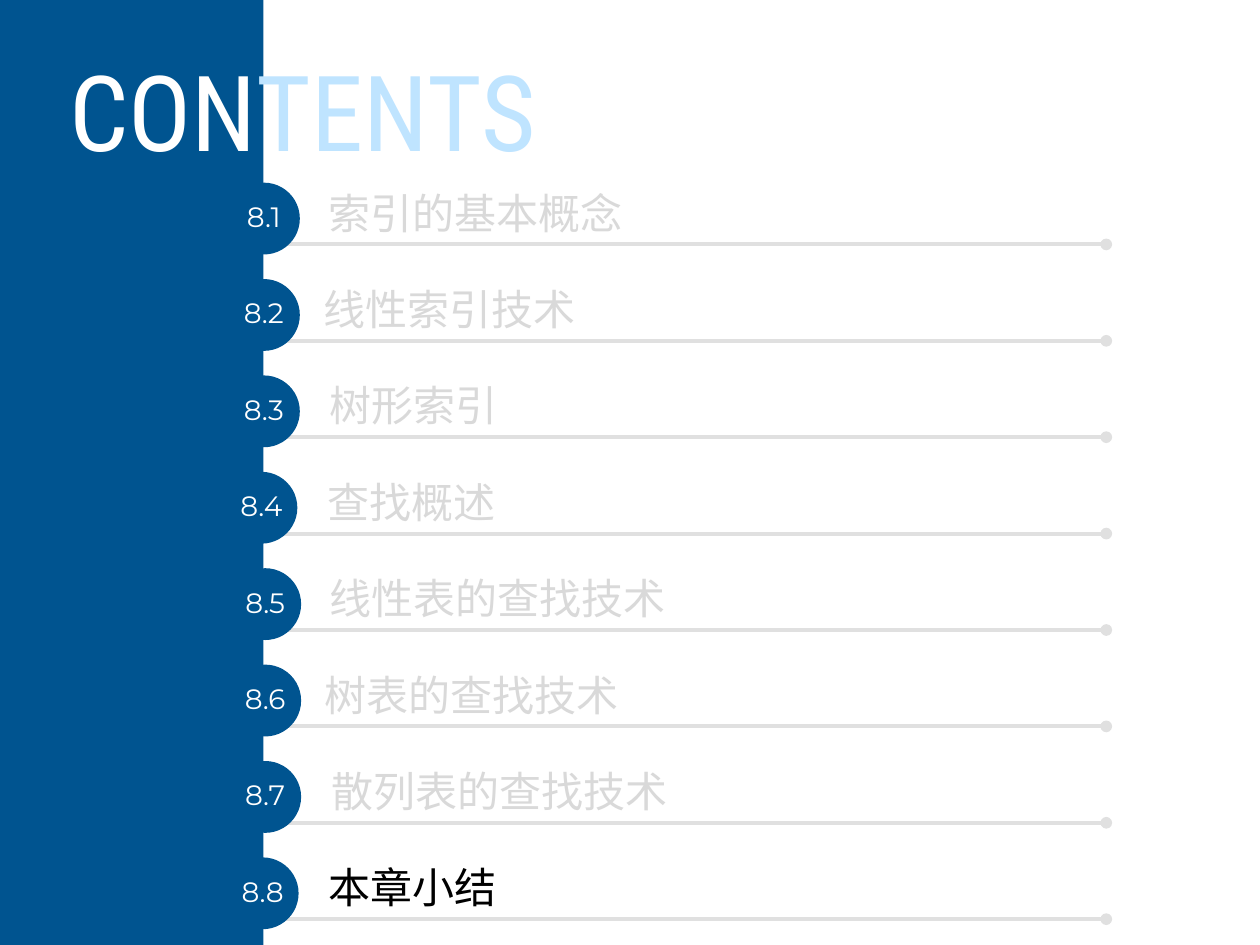
from dataclasses import dataclass

from lxml.etree import SubElement
from pptx import Presentation
from pptx.dml.color import RGBColor
from pptx.enum.shapes import MSO_CONNECTOR, MSO_SHAPE
from pptx.enum.text import MSO_ANCHOR, MSO_AUTO_SIZE, PP_ALIGN
from pptx.oxml.ns import qn
from pptx.util import Inches, Pt

COLORS = {
    "panel": "005490",
    "light": "BFE4FF",
    "white": "FFFFFF",
    "rule": "E0E0E0",
    "muted": "D9D9D9",
    "current": "000000",
}
FONTS = {"title": "Roboto Condensed", "number": "Montserrat", "topic": "Noto Sans CJK JP"}
COLUMNS, ROWS = 100, 75
WIDTH, HEIGHT = Inches(10), Inches(7.5)
PANEL_COLUMNS = 20.9
FIRST_ROW, ROW_PITCH = 14.5, 7.65
BADGE_SIZE = 5.7
TOPICS = [
    ("8.1", "索引的基本概念", -2.8, 4.2),
    ("8.2", "线性索引技术", -2.8, 3.8),
    ("8.3", "树形索引", -2.8, 4.3),
    ("8.4", "查找概述", -3, 4.1),
    ("8.5", "线性表的查找技术", -2.7, 4.3),
    ("8.6", "树表的查找技术", -2.7, 3.9),
    ("8.7", "散列表的查找技术", -2.7, 4.4),
    ("8.8", "本章小结", -2.9, 4.2),
]
CURRENT = "8.8"


@dataclass
class Box:
    left: float
    top: float
    width: float
    height: float

    def inside(self, left, top, width, height):
        return Box(self.left + left, self.top + top, width, height)

    def lengths(self):
        return (
            round(self.left * WIDTH / COLUMNS),
            round(self.top * HEIGHT / ROWS),
            round(self.width * WIDTH / COLUMNS),
            round(self.height * HEIGHT / ROWS),
        )


def color(name):
    return RGBColor.from_string(COLORS[name])


def write(shape, runs, font, size, alignment, margins=None):
    frame = shape.text_frame
    frame.word_wrap = True
    frame.auto_size = MSO_AUTO_SIZE.NONE
    frame.vertical_anchor = MSO_ANCHOR.MIDDLE
    if margins is not None:
        frame.margin_left = frame.margin_right = margins
        frame.margin_top = frame.margin_bottom = margins
    paragraph = frame.paragraphs[0]
    paragraph.alignment = alignment
    paragraph.line_spacing = 0.9
    paragraph.space_before = Pt(0)
    for text, color_name in runs:
        run = paragraph.add_run()
        run.text = text
        run.font.size = Pt(size)
        run.font.name = FONTS[font]
        run.font.color.rgb = color(color_name)
        east_asian = SubElement(run.font._element, qn("a:ea"))
        east_asian.set("typeface", FONTS[font])


def add_filled_shape(slide, kind, box):
    shape = slide.shapes.add_shape(kind, *box.lengths())
    shape.shadow.inherit = False
    shape.fill.solid()
    shape.fill.fore_color.rgb = color("panel")
    shape.line.fill.background()
    return shape


def add_rule(slide, box):
    left, top, width, _ = box.lengths()
    rule = slide.shapes.add_connector(MSO_CONNECTOR.STRAIGHT, left, top, left + width, top)
    rule.line.color.rgb = color("rule")
    rule.line.width = Pt(2.25)
    line = rule.line._get_or_add_ln()
    for end in ("a:headEnd", "a:tailEnd"):
        SubElement(line, qn(end)).set("type", "oval")
    SubElement(rule.element.spPr, qn("a:effectLst"))


def add_title(slide, box):
    title = slide.shapes.title
    slide.shapes[-1].element.addnext(title.element)
    title.left, title.top, title.width, title.height = box.lengths()
    write(title, [("CON", "white"), ("TENTS", "light")], "title", 60, PP_ALIGN.CENTER)


def add_topic(slide, box, number, topic, badge_offset, topic_offset):
    add_rule(slide, box.inside(0, 4.9, box.width, 0))
    badge_box = box.inside(badge_offset, 0, BADGE_SIZE, BADGE_SIZE)
    badge = add_filled_shape(slide, MSO_SHAPE.OVAL, badge_box)
    write(badge, [(number, "white")], "number", 16, PP_ALIGN.CENTER, 0)
    label_box = box.inside(topic_offset, 0.6, 47.7, 4)
    label = slide.shapes.add_textbox(*label_box.lengths())
    tone = "current" if number == CURRENT else "muted"
    write(label, [(topic, tone)], "topic", 24, PP_ALIGN.LEFT)


def add_contents(slide, box):
    for index, topic in enumerate(TOPICS):
        row = box.inside(0, index * ROW_PITCH, box.width, ROW_PITCH)
        add_topic(slide, row, *topic)


def main():
    presentation = Presentation()
    presentation.slide_width, presentation.slide_height = WIDTH, HEIGHT
    slide = presentation.slides.add_slide(presentation.slide_layouts[5])
    add_filled_shape(slide, MSO_SHAPE.RECTANGLE, Box(0, 0, PANEL_COLUMNS, ROWS))
    add_title(slide, Box(-0.4, 3.5, 48.8, 11.6))
    add_contents(slide, Box(PANEL_COLUMNS, FIRST_ROW, 66.9, ROW_PITCH * len(TOPICS)))
    presentation.save("out.pptx")


if __name__ == "__main__":
    main()
